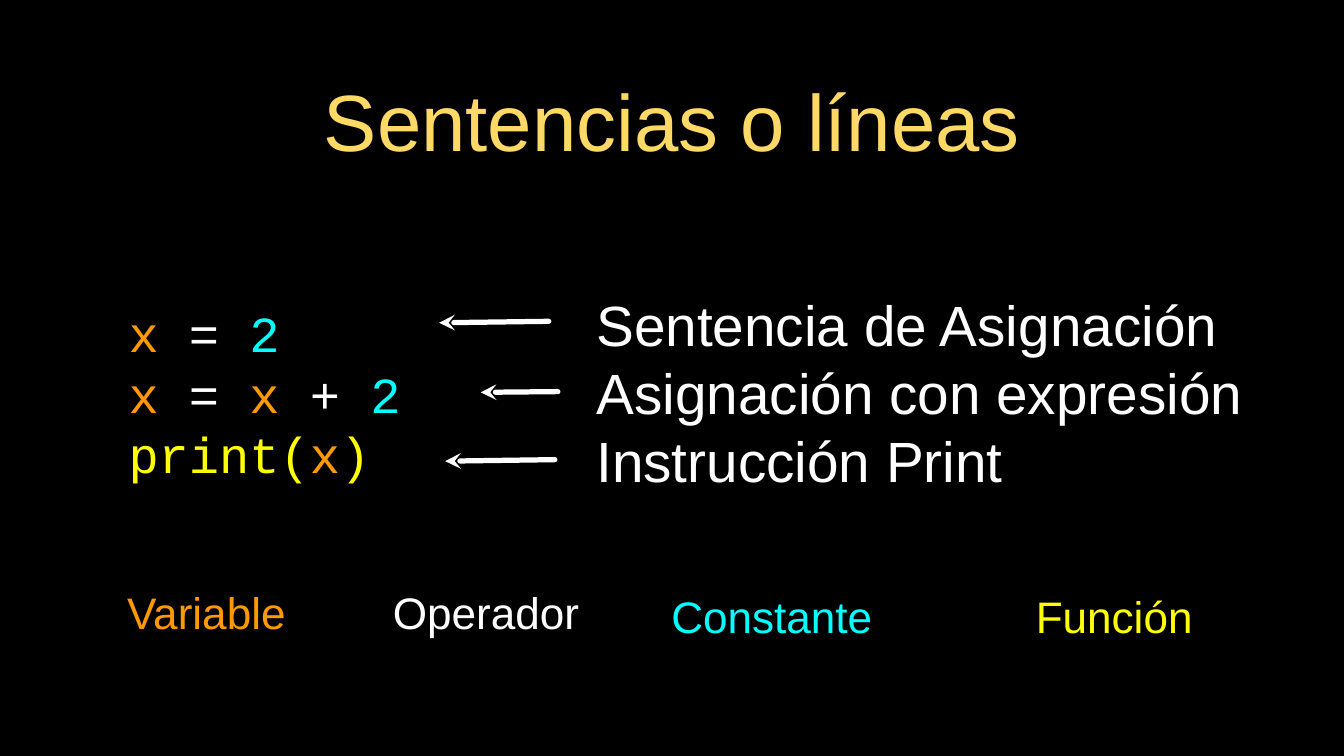
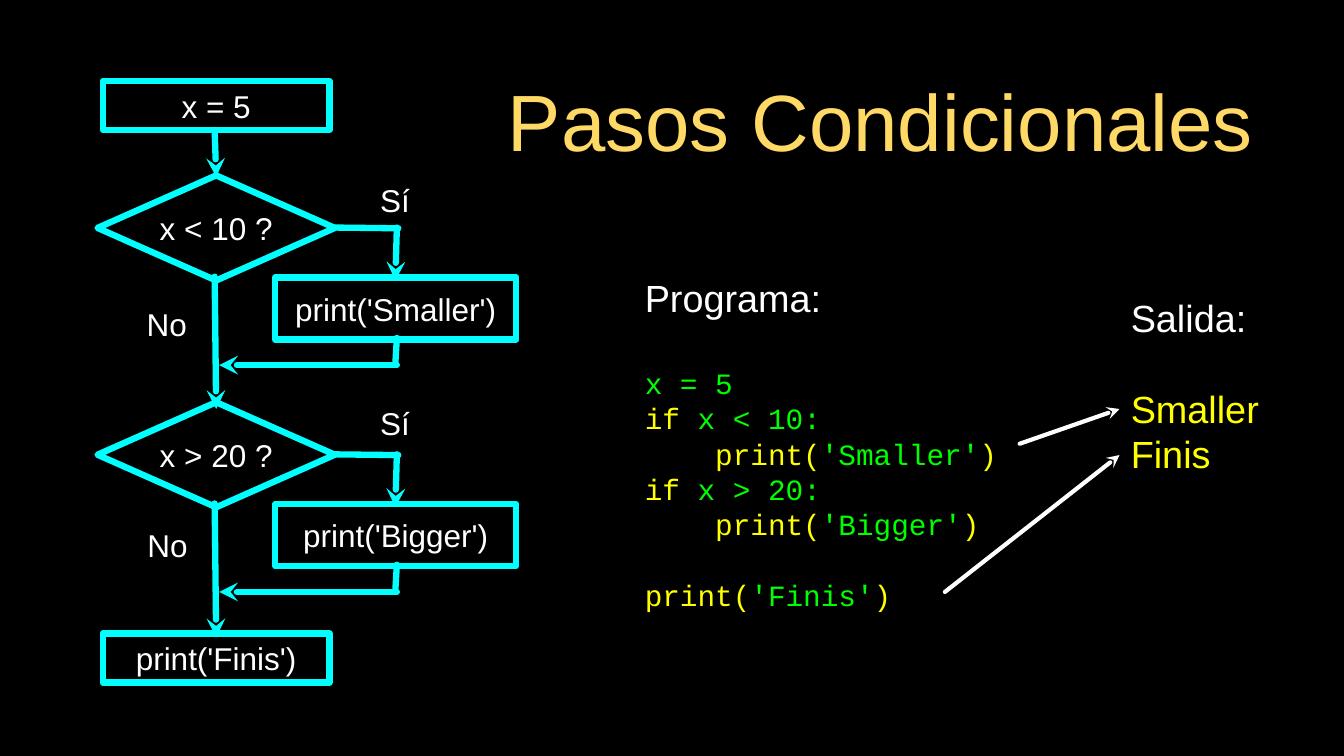
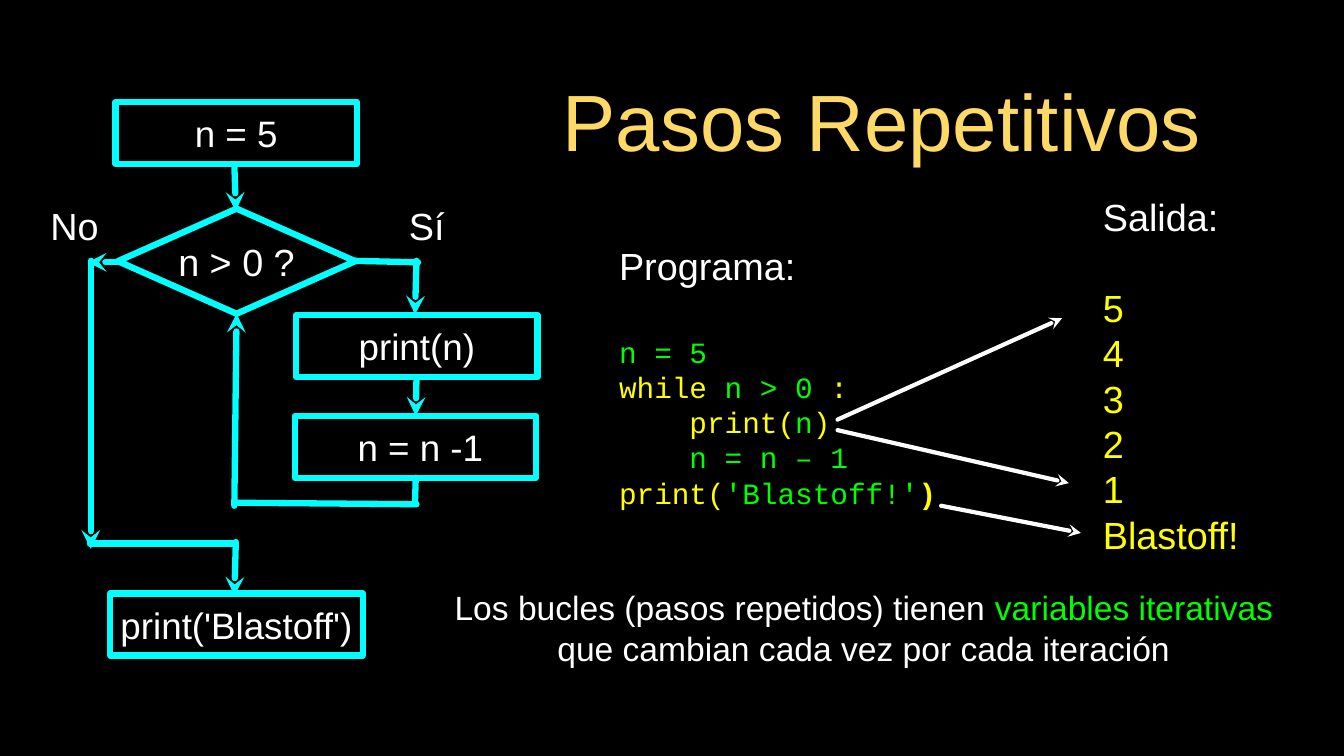
from lxml.etree import SubElement
from pptx import Presentation
from pptx.dml.color import RGBColor
from pptx.enum.shapes import MSO_CONNECTOR, MSO_SHAPE
from pptx.enum.text import MSO_ANCHOR, PP_ALIGN
from pptx.oxml.ns import qn
from pptx.util import Pt

SCALE = 9144
BLACK = RGBColor(0x00, 0x00, 0x00)
WHITE = RGBColor(0xFF, 0xFF, 0xFF)
GOLD = RGBColor(0xFF, 0xD9, 0x66)
ORANGE = RGBColor(0xFF, 0x99, 0x00)
CYAN = RGBColor(0x00, 0xFF, 0xFF)
YELLOW = RGBColor(0xFF, 0xFF, 0x00)
GREEN = RGBColor(0x00, 0xFF, 0x00)
SANS = "Arial"
MONO = "Courier New"
LEADING = 1.2
LEFT = PP_ALIGN.LEFT
CENTER = PP_ALIGN.CENTER


def px(*values):
    return [value * SCALE for value in values]


def apply(target, values):
    for name, value in values.items():
        setattr(target, name, value)


def row(*runs, size=36, face=SANS, gap=0):
    return runs, size, face, gap


def code(*runs, size=28, gap=0):
    return row(*runs, size=size, face=MONO, gap=gap)


def call(word, pad="", gap=0):
    return code((pad + "print(", YELLOW), (word, GREEN), (")", YELLOW), gap=gap)


class Deck:
    def __init__(self):
        self.show = Presentation()
        apply(self.show, dict(zip(("slide_width", "slide_height"), px(1778, 1000))))
        self.slide = None

    def page(self, title, left, width):
        self.slide = self.show.slides.add_slide(self.show.slide_layouts[6])
        fill = self.slide.background.fill
        fill.solid()
        fill.fore_color.rgb = BLACK
        self.label(title, left, 84, width, 149, size=76, color=GOLD, inset=4)

    def fill_text(self, shape, rows, align, inset=0):
        frame = shape.text_frame
        margins = {f"margin_{side}": inset * SCALE
                   for side in ("left", "top", "right", "bottom")}
        apply(frame, {"word_wrap": True, "vertical_anchor": MSO_ANCHOR.MIDDLE, **margins})
        for index, (runs, size, face, gap) in enumerate(rows):
            para = frame.add_paragraph() if index else frame.paragraphs[0]
            apply(para, {"alignment": align, "line_spacing": Pt(size * LEADING),
                         "space_before": Pt(gap * LEADING)})
            for text, color, *bold in runs:
                run = para.add_run()
                run.text = text
                apply(run.font, {"size": Pt(size), "name": face, "bold": bool(bold)})
                run.font.color.rgb = color

    def text(self, rows, *area, align=LEFT, inset=0):
        self.fill_text(self.slide.shapes.add_textbox(*px(*area)), rows, align, inset)

    def label(self, text, *area, size=36, color=WHITE, inset=0):
        self.text([row((text, color), size=size)], *area, align=CENTER, inset=inset)

    def stroke(self, shape, color, width):
        shape.line.color.rgb = color
        shape.line.width = Pt(width)
        pen = shape.line._get_or_add_ln()
        pen.set("cap", "rnd")
        SubElement(pen, qn("a:round"))
        return pen

    def node(self, text, *area, size=30, kind=MSO_SHAPE.RECTANGLE):
        shape = self.slide.shapes.add_shape(kind, *px(*area))
        shape.shadow.inherit = False
        shape.fill.background()
        self.stroke(shape, CYAN, 6)
        self.fill_text(shape, [row((text, WHITE), size=size)], CENTER)

    def choice(self, text, left, top, size=30):
        self.node(text, left, top, 314, 139, size=size, kind=MSO_SHAPE.DIAMOND)

    def line(self, *ends, color=CYAN, width=6, arrow=False):
        link = self.slide.shapes.add_connector(MSO_CONNECTOR.STRAIGHT, *px(*ends))
        pen = self.stroke(link, color, width)
        if arrow:
            SubElement(pen, qn("a:tailEnd"), type="stealth")
        SubElement(link._element.spPr, qn("a:effectLst"))

    def arrow(self, *ends, color=CYAN, width=6):
        self.line(*ends, color=color, width=width, arrow=True)


def lines(deck):
    deck.page("Sentencias o líneas", 89, 1600)
    equals, two = ("= ", WHITE), ("2", CYAN)
    var = ("x ", ORANGE)
    deck.text([
        code(var, equals, two, size=48),
        code(var, equals, var, ("+ ", WHITE), two, size=48),
        code(("print(", YELLOW), ("x", ORANGE), (")", YELLOW), size=48),
    ], 170, 299, 438, 442)
    for name, color, left, top, width in (
        ("Variable", ORANGE, 145, 770, 256),
        ("Operador", WHITE, 514, 770, 258),
        ("Constante", CYAN, 884, 775, 274),
        ("Función", YELLOW, 1283, 775, 382),
    ):
        deck.label(name, left, top, width, 79, size=42, color=color)
    notes = "Sentencia de Asignación", "Asignación con expresión", "Instrucción Print"
    deck.text([row((note, WHITE), size=54) for note in notes], 789, 297, 971, 442)
    for ends in ((726, 425, 581, 427), (738, 518, 636, 519), (734, 608, 589, 610)):
        deck.arrow(*ends, color=WHITE, width=5)


def branches(deck):
    deck.page("Pasos Condicionales", 640, 1049)
    deck.text([
        row(("Salida:", WHITE)),
        row(("Smaller", YELLOW), gap=36),
        row(("Finis", YELLOW)),
    ], 1496, 390, 173, 239)
    deck.text([
        row(("Programa:", WHITE)),
        code(("x = 5", GREEN), gap=36),
        code(("if ", YELLOW), ("x < 10:", GREEN)),
        call("'Smaller'", "    "),
        code(("if ", YELLOW), ("x > 20:", GREEN)),
        call("'Bigger'", "    "),
        call("'Finis'", gap=28),
    ], 853, 314, 496, 545)
    deck.node("x = 5", 136, 107, 300, 65)
    deck.arrow(284, 172, 286, 234)
    for top, test, word, end in (
        (232, "x < 10 ?", "Smaller", 541),
        (532, "x > 20 ?", "Bigger", 843),
    ):
        deck.choice(test, 129, top)
        deck.arrow(284, top + 134, 286, end)
        deck.node(f"print('{word}')", 364, top + 135, 319, 82)
        deck.line(527, top + 70, 442, top + 69)
        deck.arrow(525, top + 69, 523, top + 139)
        deck.line(525, top + 215, 523, top + 249)
        deck.arrow(525, top + 251, 290, top + 251)
    deck.node("print('Finis')", 136, 838, 300, 65)
    for ends in ((1349, 587, 1481, 541), (1250, 783, 1481, 602)):
        deck.arrow(*ends, color=WHITE, width=4)
    for word, left, top in (("Sí", 483, 231), ("No", 181, 395),
                            ("No", 182, 687), ("Sí", 483, 525)):
        deck.label(word, left, top, 79, 68, size=30)


def loops(deck):
    deck.page("Pasos Repetitivos", 644, 1045)
    deck.text([
        row(("Salida:", WHITE)),
        row(("5", YELLOW), gap=36),
        *(row((word, YELLOW)) for word in ("4", "3", "2", "1", "Blastoff!")),
    ], 1459, 263, 218, 467)
    deck.text([
        row(("Programa:", WHITE)),
        code(("n = 5", GREEN), gap=36),
        code(("while", YELLOW), (" n > 0", GREEN), (" :", YELLOW)),
        call("n", "    "),
        code(("    n = n – 1", GREEN)),
        code(("print(", YELLOW), ("'Blastoff!'", GREEN), (")", YELLOW, True)),
    ], 819, 286, 426, 424)
    deck.choice("n > 0 ?", 156, 276, size=36)
    for text, left, top, width in (
        ("n = 5", 153, 135, 319),
        ("print(n)", 392, 417, 319),
        (" n = n -1", 390, 550, 319),
        ("print('Blastoff')", 146, 785, 334),
    ):
        deck.node(text, left, top, width, 82, size=35)
    for ends in (
        (310, 217, 312, 279), (310, 669, 313, 415), (551, 345, 549, 416),
        (160, 347, 116, 347), (312, 717, 310, 788), (120, 345, 120, 726),
        (551, 499, 550, 550),
    ):
        deck.arrow(*ends)
    for ends in ((553, 347, 468, 345), (550, 632, 549, 665),
                 (312, 665, 551, 667), (119, 719, 310, 719)):
        deck.line(*ends)
    for ends in ((1108, 555, 1405, 421), (1108, 569, 1414, 639), (1245, 669, 1430, 705)):
        deck.arrow(*ends, color=WHITE, width=4)
    deck.text([row(
        ("Los bucles (pasos repetidos) tienen ", WHITE),
        ("variables iterativas ", GREEN),
        ("que cambian cada vez por cada iteración", WHITE),
        size=32,
    )], 564, 765, 1158, 130, align=CENTER)
    deck.label("No", 59, 264, 79, 68)
    deck.label("Sí", 510, 264, 109, 68)


def main():
    deck = Deck()
    for build in (lines, branches, loops):
        build(deck)
    deck.show.save("out.pptx")


if __name__ == "__main__":
    main()
